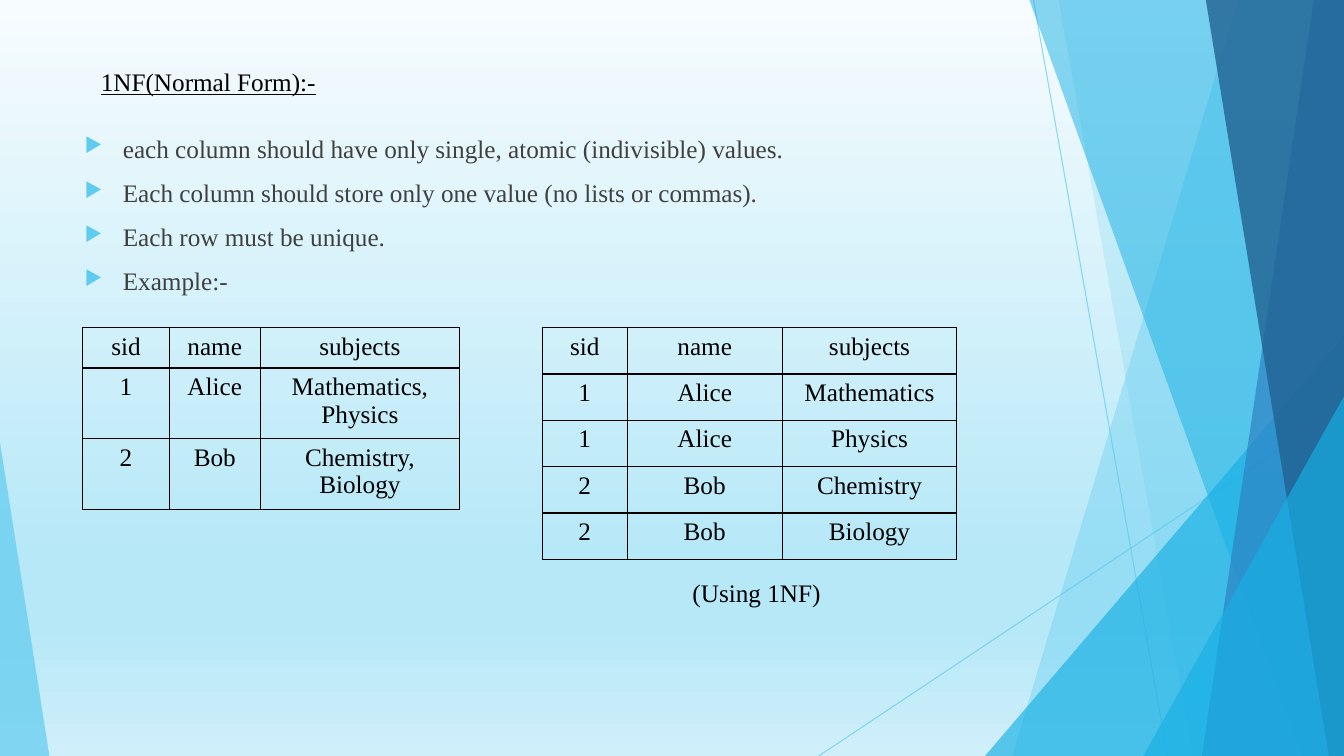
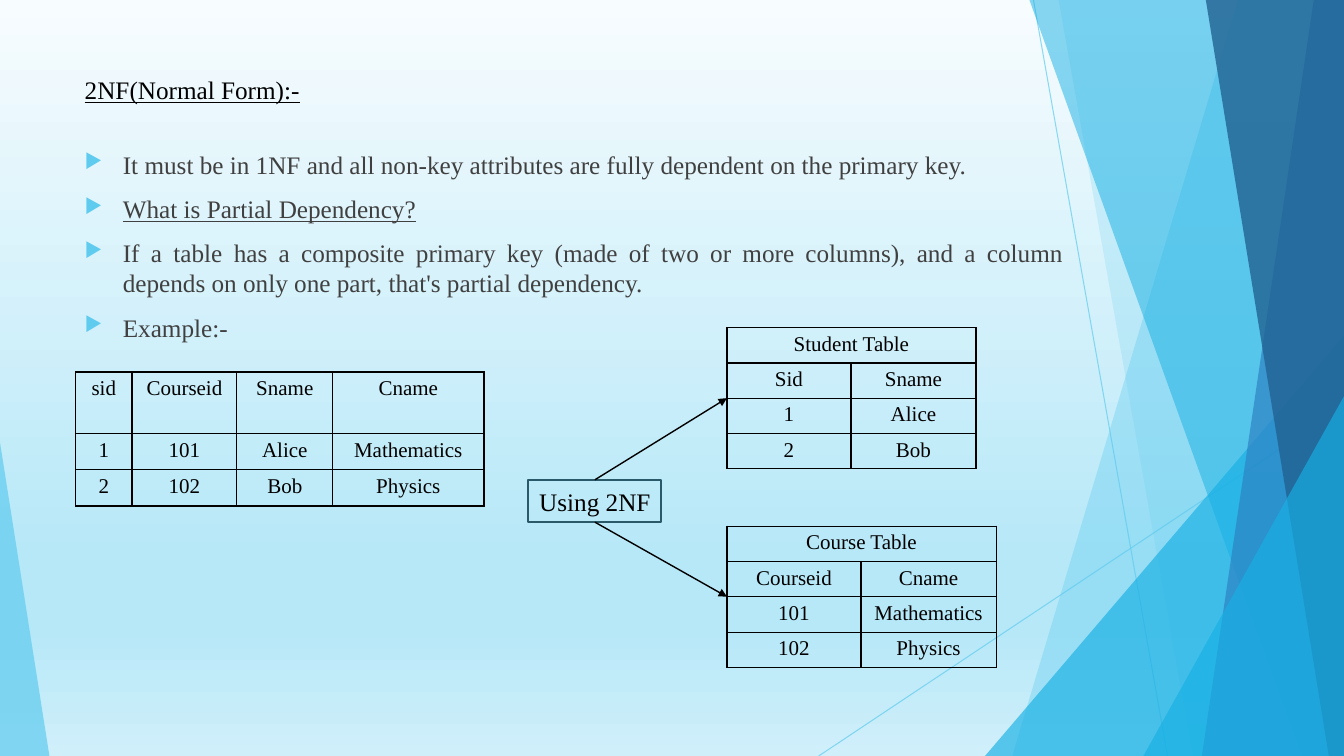
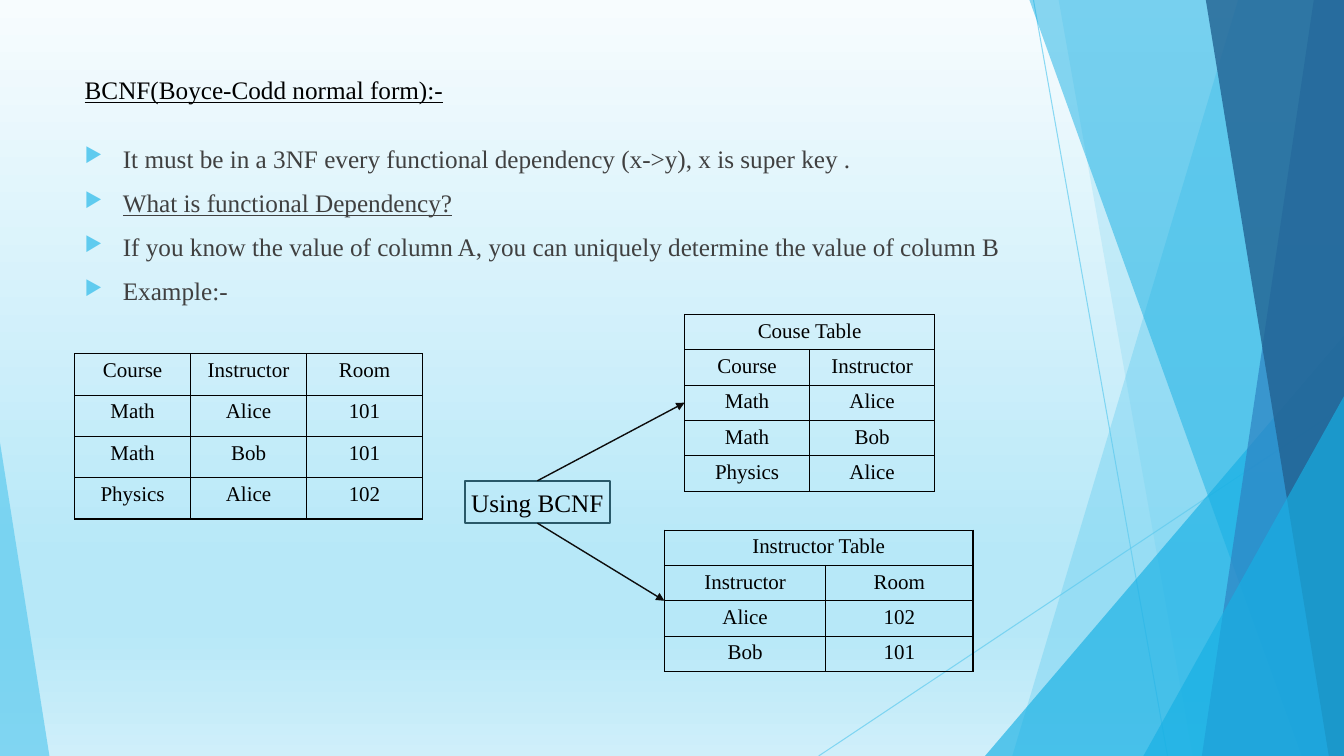
from copy import deepcopy

from lxml import etree
from pptx import Presentation
from pptx import util as u
from pptx.dml import color
from pptx.enum import shapes, text
from pptx.oxml import ns

FONT = "Times New Roman"
BLACK, BODY, BOX_LINE = "000000", "404040", "2A5969"
SKY, AZURE, BLUE, NAVY = "5FCBEF", "17B0E4", "2E83C3", "226292"
WIDTH, HEIGHT = 13.33, 7.5
BACKGROUND = [(0, "F7FCFE"), (0.74, "B7E8F8"), (0.83, "B7E8F8"), (1, "CFEFFA")]
BODY_SIZE, SMALL_SIZE = 18, 15
ROW = 0.35


def rgb(code):
    """Turn a hex string into a colour."""
    return color.RGBColor.from_string(code)


def add_xml(parent, tag, **attributes):
    """Append a child element with the given attributes."""
    child = etree.SubElement(parent, ns.qn(tag))
    for name, value in attributes.items():
        child.set(name, str(value))
    return child


def set_alpha(shape, percent):
    """Make every explicit colour of a shape partly transparent."""
    for colour in shape.element.iter(ns.qn("a:srgbClr")):
        add_xml(colour, "a:alpha", val=percent * 1000)


def write_text(para, words, size=BODY_SIZE, colour=BLACK, underline=False, align=None):
    """Write one formatted span into a paragraph."""
    span = para.add_run()
    span.text = words
    span.font.name = FONT
    span.font.size = u.Pt(size)
    span.font.color.rgb = rgb(colour)
    span.font.underline = underline
    para.alignment = align


def paint_background(master):
    """Give the master its vertical gradient."""
    fill = master.background.fill
    fill.gradient()
    fill.gradient_angle = 270
    stop_list = master.element.find(".//" + ns.qn("a:gsLst"))
    for _ in BACKGROUND[2:]:
        stop_list.append(deepcopy(stop_list[0]))
    for stop, (position, colour) in zip(fill.gradient_stops, BACKGROUND):
        stop.position = position
        stop.color.rgb = rgb(colour)


def add_line(slide, start, end, colour=BLACK, width=1):
    """Draw a straight connector without a shadow."""
    line = slide.shapes.add_connector(
        shapes.MSO_CONNECTOR.STRAIGHT, *map(u.Inches, start + end)
    )
    line.line.color.rgb = rgb(colour)
    line.line.width = u.Pt(width)
    add_xml(line.element.spPr, "a:effectLst")
    return line


def paint_panel(panel, colour, alpha):
    """Fill a decorative panel with a transparent colour."""
    panel.shadow.inherit = False
    panel.fill.solid()
    panel.fill.fore_color.rgb = rgb(colour)
    panel.line.fill.background()
    set_alpha(panel, alpha)


def add_band(slide, top_x, bottom_x, colour, alpha):
    """Draw a slanted band that reaches the right edge."""
    corners = [(WIDTH, 0), (WIDTH, HEIGHT), (bottom_x, HEIGHT)]
    builder = slide.shapes.build_freeform(u.Inches(top_x), 0)
    builder.add_line_segments([(u.Inches(x), u.Inches(y)) for x, y in corners])
    paint_panel(builder.convert_to_shape(), colour, alpha)


def add_triangle(slide, left, right, top, apex, colour, alpha):
    """Draw a triangle that stands on the bottom edge."""
    panel = slide.shapes.add_shape(
        shapes.MSO_SHAPE.ISOSCELES_TRIANGLE,
        *map(u.Inches, (left, top, right - left, HEIGHT - top)),
    )
    panel.adjustments[0] = apex
    paint_panel(panel, colour, alpha)


def draw_facets(slide):
    """Draw the facets from back to front."""
    for start, end in (((10.25, 0), (11.58, HEIGHT)), ((WIDTH, 4.03), (8.12, HEIGHT))):
        set_alpha(add_line(slide, start, end, colour=SKY, width=0.75), 70)
    add_band(slide, 12.28, 10.04, SKY, 36)
    add_band(slide, 10.5, 11.83, SKY, 20)
    add_triangle(slide, 9.77, WIDTH, 3.33, 1, AZURE, 66)
    add_band(slide, 10.21, 12.91, AZURE, 50)
    add_band(slide, 13.03, 11.92, BLUE, 70)
    add_band(slide, 11.96, 13.18, NAVY, 80)
    add_triangle(slide, 11.34, WIDTH, 3.93, 1, AZURE, 66)
    add_triangle(slide, 0, 0.49, 4.39, 0, SKY, 70)


def move_to_layout(slide, layout):
    """Move the drawn shapes of a slide to its layout."""
    drawn = [shape for shape in slide.shapes if not shape.is_placeholder]
    for index, shape in enumerate(drawn):
        shape.element.find(".//" + ns.qn("p:cNvPr")).set("id", str(100 + index))
        layout.shapes.element.insert(2 + index, shape.element)


def set_title(slide, words, left=0.74, top=0.69):
    """Place and format the title."""
    title = slide.shapes.title
    title.left, title.top = u.Inches(left), u.Inches(top)
    title.width, title.height = u.Inches(6.67), u.Inches(0.4)
    frame = title.text_frame
    frame.auto_size = text.MSO_AUTO_SIZE.NONE
    frame.vertical_anchor = text.MSO_ANCHOR.TOP
    write_text(frame.paragraphs[0], words, underline=True, align=text.PP_ALIGN.LEFT)


def add_bullets(slide, top, lines, underlined=None):
    """Add the bulleted list, with one line underlined if asked."""
    box = slide.shapes.add_textbox(*map(u.Inches, (0.74, top, 9.91, 2.1)))
    frame = box.text_frame
    frame.word_wrap = True
    for index, words in enumerate(lines):
        para = frame.add_paragraph() if index else frame.paragraphs[0]
        write_text(para, words, colour=BODY, underline=index == underlined,
                   align=text.PP_ALIGN.JUSTIFY)
        para.space_before = u.Pt(10)
        props = para._p.get_or_add_pPr()
        props.set("marL", str(u.Inches(0.38)))
        props.set("indent", str(u.Inches(-0.38)))
        add_xml(add_xml(props, "a:buClr"), "a:srgbClr", val=SKY)
        add_xml(props, "a:buSzPct", val=80000)
        add_xml(props, "a:buChar", char="▶")


def format_cell(cell):
    """Give a cell black borders and no fill."""
    props = cell._tc.get_or_add_tcPr()
    for side in ("a:lnL", "a:lnR", "a:lnT", "a:lnB"):
        border = add_xml(props, side, w=u.Pt(1))
        add_xml(add_xml(border, "a:solidFill"), "a:srgbClr", val=BLACK)
    cell.fill.background()


def add_grid(slide, left, top, widths, heights, rows, size=SMALL_SIZE):
    """Add a table; a row with a single entry spans all columns."""
    frame = slide.shapes.add_table(
        len(rows), len(widths),
        *map(u.Inches, (left, top, sum(widths), sum(heights))),
    )
    table = frame.table
    table.first_row = table.horz_banding = False
    for column, width in zip(table.columns, widths):
        column.width = u.Inches(width)
    for row, height, entries in zip(table.rows, heights, rows):
        row.height = u.Inches(height)
        for cell in row.cells:
            format_cell(cell)
        if len(entries) == 1:
            row.cells[0].merge(row.cells[len(widths) - 1])
        for cell, words in zip(row.cells, entries):
            write_text(cell.text_frame.paragraphs[0], words, size=size,
                       align=text.PP_ALIGN.CENTER)
    return frame


def add_step(slide, words, left, top, width):
    """Add the outlined box that names the step."""
    box = slide.shapes.add_shape(
        shapes.MSO_SHAPE.RECTANGLE, *map(u.Inches, (left, top, width, 0.42))
    )
    box.shadow.inherit = False
    box.fill.background()
    box.line.color.rgb = rgb(BOX_LINE)
    box.line.width = u.Pt(1.5)
    box.text_frame.word_wrap = False
    write_text(box.text_frame.paragraphs[0], words, align=text.PP_ALIGN.CENTER)
    return box


def add_arrow(slide, step, side, frame, colour=BLACK):
    """Point from a side of the step box to the left middle of a table."""
    end = (u.Emu(frame.left).inches, u.Emu(frame.top + frame.height // 2).inches)
    arrow = add_line(slide, end, end, colour=colour)
    arrow.begin_connect(step, side)
    add_xml(arrow.line._get_or_add_ln(), "a:tailEnd", type="triangle")


def add_split(slide, step, upper, lower, colour=BLACK):
    """Link the step box to the two resulting tables."""
    add_arrow(slide, step, 0, upper, colour)
    add_arrow(slide, step, 2, lower, colour)


def fill_first_form(slide):
    """Build the slide on the first normal form."""
    set_title(slide, "1NF(Normal Form):-", left=0.9, top=0.61)
    add_bullets(slide, 1.27, [
        "each column should have only single, atomic (indivisible) values.",
        "Each column should store only one value (no lists or commas).",
        "Each row must be unique.",
        "Example:-",
    ])
    header = ("sid", "name", "subjects")
    add_grid(slide, 0.82, 3.25, [0.86, 0.9, 1.98], [0.38, 0.65, 0.65], [
        header,
        ("1", "Alice", "Mathematics, Physics"),
        ("2", "Bob", "Chemistry, Biology"),
    ], size=BODY_SIZE)
    add_grid(slide, 5.38, 3.25, [0.84, 1.54, 1.73], [0.46] * 5, [
        header,
        ("1", "Alice", "Mathematics"),
        ("1", "Alice", "Physics"),
        ("2", "Bob", "Chemistry"),
        ("2", "Bob", "Biology"),
    ], size=BODY_SIZE)
    caption = slide.shapes.add_textbox(*map(u.Inches, (6.77, 5.68, 1.77, 0.4)))
    caption.text_frame.word_wrap = True
    write_text(caption.text_frame.paragraphs[0], "(Using 1NF)")


def fill_second_form(slide):
    """Build the slide on the second normal form."""
    set_title(slide, "2NF(Normal Form):-")
    add_bullets(slide, 1.43, [
        "It must be in 1NF and all non-key attributes are fully dependent on the primary key.",
        "What is Partial Dependency?",
        "If a table has a composite primary key (made of two or more columns), "
        "and a column depends on only one part, that's partial dependency.",
        "Example:-",
    ], underlined=1)
    add_grid(slide, 0.75, 3.69, [0.56, 1.04, 0.95, 1.5], [0.61, 0.36, 0.36], [
        ("sid", "Courseid", "Sname", "Cname"),
        ("1", "101", "Alice", "Mathematics"),
        ("2", "102", "Bob", "Physics"),
    ])
    students = add_grid(slide, 7.21, 3.25, [1.23, 1.24], [ROW] * 4, [
        ("Student Table",), ("Sid", "Sname"), ("1", "Alice"), ("2", "Bob"),
    ])
    courses = add_grid(slide, 7.21, 5.22, [1.33, 1.34], [ROW] * 4, [
        ("Course Table",), ("Courseid", "Cname"),
        ("101", "Mathematics"), ("102", "Physics"),
    ])
    step = add_step(slide, "Using 2NF", 5.24, 4.76, 1.32)
    add_split(slide, step, students, courses)


def fill_boyce_codd(slide):
    """Build the slide on the Boyce-Codd normal form."""
    set_title(slide, "BCNF(Boyce-Codd normal form):-")
    add_bullets(slide, 1.37, [
        "It must be in a 3NF every functional dependency (x->y), x is super key .",
        "What is functional Dependency?",
        "If you know the value of column A, you can uniquely determine the value of column B",
        "Example:-",
    ], underlined=1)
    add_grid(slide, 0.74, 3.51, [1.15] * 3, [0.41] * 4, [
        ("Course", "Instructor", "Room"),
        ("Math", "Alice", "101"),
        ("Math", "Bob", "101"),
        ("Physics", "Alice", "102"),
    ])
    courses = add_grid(slide, 6.79, 3.12, [1.24] * 2, [ROW] * 5, [
        ("Couse Table",), ("Course", "Instructor"),
        ("Math", "Alice"), ("Math", "Bob"), ("Physics", "Alice"),
    ])
    instructors = add_grid(slide, 6.59, 5.26, [1.6, 1.46], [ROW] * 4, [
        ("Instructor Table",), ("Instructor", "Room"),
        ("Alice", "102"), ("Bob", "101"),
    ])
    step = add_step(slide, "Using BCNF", 4.61, 4.77, 1.44)
    add_split(slide, step, courses, instructors, colour="0D0D0D")


def main():
    """Build and save the deck."""
    deck = Presentation()
    deck.slide_width, deck.slide_height = u.Inches(WIDTH), u.Inches(HEIGHT)
    layout = deck.slide_layouts[5]
    paint_background(deck.slide_master)
    pages = [deck.slides.add_slide(layout) for _ in range(3)]
    draw_facets(pages[0])
    move_to_layout(pages[0], layout)
    for page, fill_page in zip(pages, (fill_first_form, fill_second_form, fill_boyce_codd)):
        fill_page(page)
    deck.save("out.pptx")


if __name__ == "__main__":
    main()
